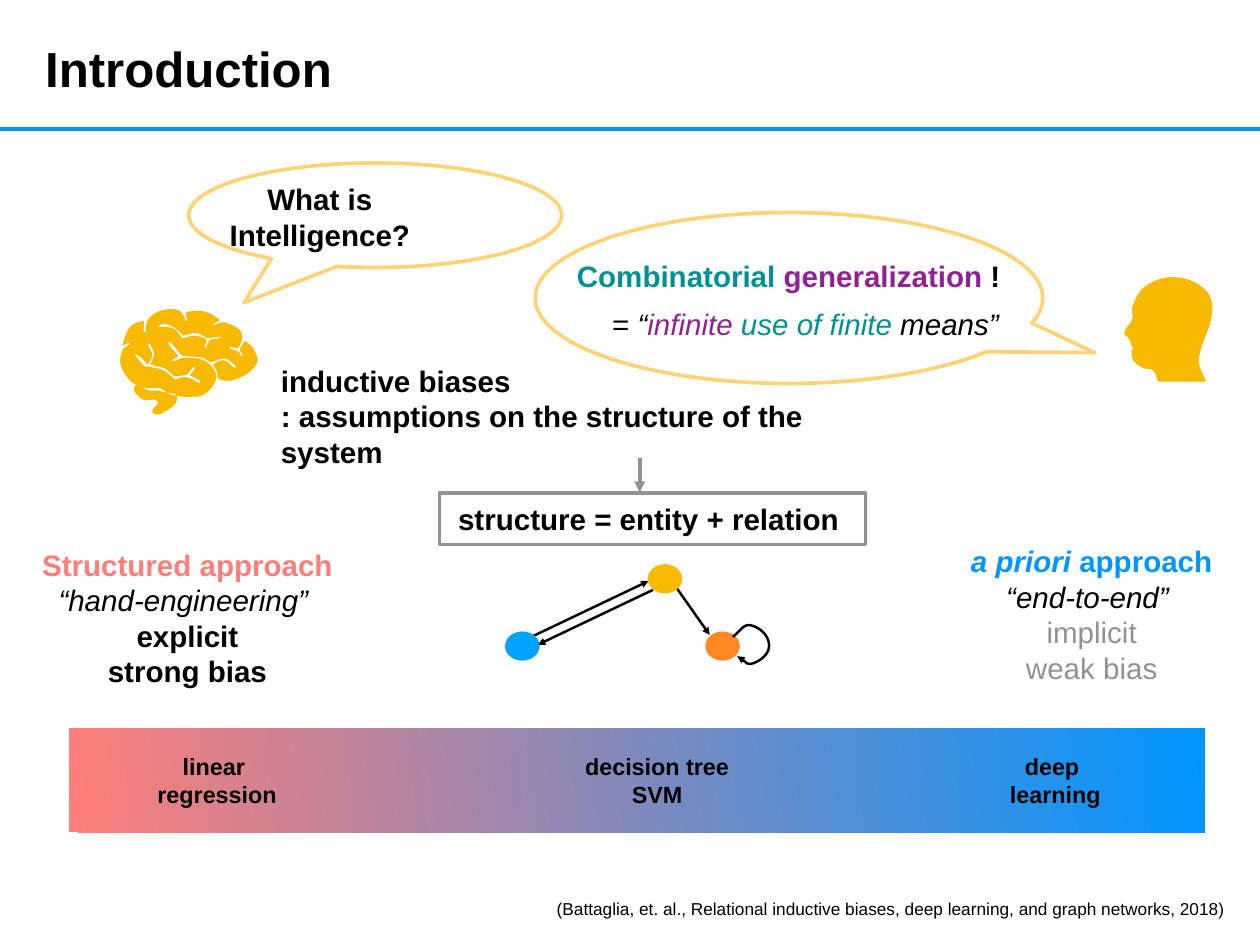
from collections import namedtuple
from dataclasses import dataclass
from math import dist

from lxml.etree import SubElement
from pptx import Presentation
from pptx.dml.color import RGBColor
from pptx.enum.shapes import MSO_CONNECTOR, MSO_SHAPE
from pptx.enum.text import MSO_ANCHOR, PP_ALIGN
from pptx.oxml.ns import qn
from pptx.util import Inches, Pt

Box = namedtuple("Box", "left top width height")
Part = namedtuple("Part", "text color style", defaults=("000000", ""))


@dataclass(frozen=True)
class Theme:
    """Colours, font and type sizes of the slide."""
    font: str = "Arial"
    title: int = 40
    body: int = 24
    label: int = 19
    citation: int = 14
    black: str = "000000"
    blue: str = "0096FF"
    coral: str = "FF7E79"
    teal: str = "009193"
    purple: str = "942193"
    gray: str = "929292"
    bubble: str = "FFD479"
    gold: str = "F7BA01"
    node_blue: str = "00A2FF"
    node_orange: str = "FF8824"


THEME = Theme()


def inside(box, left, top, width, height):
    """Return a box placed relative to another box."""
    return Box(box.left + left, box.top + top, width, height)


def emu(box):
    """Convert a box to lengths."""
    return [Inches(value) for value in box]


def write(shape, paragraphs, size=THEME.body, align=PP_ALIGN.CENTER):
    """Fill a shape with paragraphs made of formatted parts."""
    frame = shape.text_frame
    frame.word_wrap = True
    frame.vertical_anchor = MSO_ANCHOR.MIDDLE
    frame.margin_left = frame.margin_right = Inches(0.06)
    frame.margin_top = frame.margin_bottom = Inches(0.06)
    for index, parts in enumerate(paragraphs):
        paragraph = frame.add_paragraph() if index else frame.paragraphs[0]
        paragraph.alignment = align
        for part in parts:
            run = paragraph.add_run()
            run.text = part.text
            run.font.name, run.font.size = THEME.font, Pt(size)
            run.font.bold, run.font.italic = "b" in part.style, "i" in part.style
            run.font.color.rgb = RGBColor.from_string(part.color)


def add_text(slide, box, paragraphs, **options):
    """Add a wrapped text box."""
    write(slide.shapes.add_textbox(*emu(box)), paragraphs, **options)


def paint(shape, fill=None, line=None, width=3):
    """Set the fill and outline of a shape and remove its shadow."""
    shape.shadow.inherit = False
    if fill:
        shape.fill.solid()
        shape.fill.fore_color.rgb = RGBColor.from_string(fill)
    else:
        shape.fill.background()
    if line:
        shape.line.color.rgb = RGBColor.from_string(line)
        shape.line.width = Pt(width)
    else:
        shape.line.fill.background()


def add_shape(slide, kind, box, **colors):
    """Add a painted preset shape."""
    shape = slide.shapes.add_shape(kind, *emu(box))
    paint(shape, **colors)
    return shape


def add_arrowhead(shape):
    """Put a triangle at the end of a line."""
    SubElement(shape.line._get_or_add_ln(), qn("a:tailEnd"), type="triangle")


def add_line(slide, box, start, end, color=THEME.black, width=2, arrow=True):
    """Add a straight line between two points of a box."""
    points = [Inches(value) for x, y in (start, end) for value in (box.left + x, box.top + y)]
    line = slide.shapes.add_connector(MSO_CONNECTOR.STRAIGHT, *points)
    line.line.color.rgb = RGBColor.from_string(color)
    line.line.width = Pt(width)
    if arrow:
        add_arrowhead(line)
    SubElement(line._element.spPr, qn("a:effectLst"))


def bend(shape):
    """Turn the straight segments of a freeform into smooth curves."""
    contours = []
    for node in shape._element.spPr.iter(qn("a:moveTo"), qn("a:lnTo")):
        if node.tag == qn("a:moveTo"):
            contours.append([])
        contours[-1].append(node)
    for nodes in contours:
        points = [(int(node[0].get("x")), int(node[0].get("y"))) for node in nodes]
        closed = points[0] == points[-1]
        before, after = (points[-2], points[1]) if closed else (points[0], points[-1])
        ring = [before, *points, after]
        for node, a, b, c, d in zip(nodes[1:], ring, ring[1:], ring[2:], ring[3:]):
            reach = 0.36 * dist(b, c)
            first, second = reach / (dist(a, c) or 1), reach / (dist(b, d) or 1)
            controls = [[q + first * (r - p) for p, q, r in zip(a, b, c)],
                        [q - second * (r - p) for p, q, r in zip(b, c, d)], c]
            curve = SubElement(node.getparent(), qn("a:cubicBezTo"))
            for x, y in controls:
                SubElement(curve, qn("a:pt"), x=str(round(x)), y=str(round(y)))
            node.getparent().replace(node, curve)


def add_curve(slide, box, contours, **colors):
    """Add one smooth freeform from contours in hundredths of an inch."""
    builder = None
    for contour in contours:
        start, *rest = [(Inches(box.left + x / 100), Inches(box.top + y / 100)) for x, y in contour]
        if builder:
            builder.move_to(*start)
        else:
            builder = slide.shapes.build_freeform(*start, scale=1.0)
        builder.add_line_segments(rest, close=start == rest[-1])
    shape = builder.convert_to_shape()
    bend(shape)
    paint(shape, **colors)
    return shape


def add_header(slide, box):
    """Place the title and the rule under it."""
    title = slide.shapes.title
    title.left, title.top, title.width, title.height = emu(inside(box, 0.45, 0.38, 3.6, 0.78))
    write(title, [[Part("Introduction", THEME.black, "b")]], THEME.title, PP_ALIGN.LEFT)
    add_line(slide, box, (0, 1.46), (box.width, 1.46), THEME.blue, 3, arrow=False)


def add_bubble(slide, box, tail):
    """Add an oval speech bubble."""
    bubble = add_shape(slide, MSO_SHAPE.OVAL_CALLOUT, box, line=THEME.bubble)
    bubble.adjustments[0], bubble.adjustments[1] = tail


def add_question(slide, box):
    """Place the question bubble."""
    add_bubble(slide, box, (-0.352, 0.837))
    add_text(slide, inside(box, 0.38, 0.15, 2.2, 0.91),
             [[Part("What is Intelligence?", THEME.black, "b")]])


def add_answer(slide, box):
    """Place the answer bubble."""
    add_bubble(slide, box, (0.602, 0.32))
    add_text(slide, inside(box, 0.36, 0.46, 5, 0.5), [[
        Part("Combinatorial ", THEME.teal, "b"), Part("generalization", THEME.purple, "b"),
        Part(" !", THEME.black, "b")]])
    add_text(slide, inside(box, 0.55, 1.01, 5, 0.5), [[
        Part("= "), Part("“", THEME.black, "i"), Part("infinite", THEME.purple, "i"),
        Part(" use of finite", THEME.teal, "i"), Part(" means”", THEME.black, "i")]])


def add_brain(slide, box):
    """Draw the brain icon with its folds and stem."""
    outline = [
        (57, 0), (41, 4), (31, 14), (30, 25), (29, 26), (27, 25), (28, 15), (27, 13), (12, 20), (3, 41),
        (4, 41), (10, 38), (11, 38), (11, 40), (4, 45), (1, 62), (11, 80), (18, 85), (30, 89), (45, 89),
        (47, 90), (60, 97), (79, 99), (96, 96), (109, 79), (105, 66), (93, 57), (78, 55), (71, 55),
        (61, 59), (59, 58), (60, 57), (66, 54), (66, 53), (55, 39), (56, 37), (58, 38), (70, 52),
        (73, 53), (94, 55), (102, 60), (104, 60), (119, 56), (131, 64), (131, 66), (129, 66), (118, 58),
        (106, 62), (106, 64), (110, 70), (112, 79), (132, 79), (154, 63), (153, 48), (142, 36),
        (140, 38), (136, 45), (136, 47), (139, 52), (138, 54), (137, 53), (134, 48), (125, 45),
        (124, 44), (125, 43), (133, 44), (134, 44), (138, 35), (136, 24), (119, 15), (112, 16),
        (106, 18), (105, 17), (113, 13), (113, 12), (97, 3), (76, 3), (75, 6), (76, 13), (75, 14),
        (74, 12), (69, 3), (57, 0)]
    upper_fold = [
        (52, 17), (62, 21), (71, 29), (72, 30), (86, 27), (100, 33), (101, 33), (113, 31), (114, 32),
        (112, 33), (102, 35), (98, 43), (97, 44), (96, 43), (98, 36), (98, 34), (85, 30), (71, 33),
        (70, 32), (61, 22), (45, 20), (44, 20), (45, 18), (52, 17)]
    lower_fold = [
        (33, 39), (34, 39), (39, 51), (35, 62), (36, 63), (51, 67), (62, 76), (63, 76), (76, 74),
        (77, 73), (84, 65), (85, 67), (80, 74), (80, 75), (91, 81), (91, 83), (89, 83), (76, 77),
        (62, 79), (61, 78), (49, 69), (32, 65), (29, 65), (18, 53), (17, 52), (18, 51), (26, 56),
        (30, 61), (32, 62), (37, 52), (32, 41), (33, 39)]
    stem = [(17, 87), (26, 102), (43, 104), (37, 116), (47, 118), (65, 100), (47, 93), (43, 92),
            (33, 92), (17, 87)]
    add_curve(slide, box, [outline, upper_fold, lower_fold, stem], fill=THEME.gold)


def add_head(slide, box):
    """Draw the head icon in profile."""
    profile = [(92, 118), (84, 93), (99, 40), (91, 14), (57, 0), (24, 10), (9, 33), (9, 47), (0, 61),
               (0, 65), (4, 68), (7, 73), (7, 75), (8, 78), (10, 79), (8, 84), (10, 94), (22, 103),
               (32, 105), (38, 118)]
    add_curve(slide, box, [profile], fill=THEME.gold)


def add_structure(slide, box):
    """Place the inductive bias definition and the structure equation."""
    add_text(slide, inside(box, 0, 0.01, 6.5, 0.91), [
        [Part("inductive biases", THEME.black, "b")],
        [Part(": assumptions on the structure of the system", THEME.black, "b")]],
        align=PP_ALIGN.LEFT)
    equation = add_shape(slide, MSO_SHAPE.RECTANGLE, inside(box, 1.85, 1.34, 4.81, 0.58), line=THEME.gray)
    write(equation, [[Part("structure = entity + relation ", THEME.black, "b")]])
    add_line(slide, box, (4.11, 0.94), (4.11, 1.33), THEME.gray, 3)


def add_graph(slide, box):
    """Draw the graph of three nodes with its arrows and self-loop."""
    for start, end in [((1.93, 0.26), (2.31, 0.8)), ((0.32, 0.81), (1.62, 0.19)),
                       ((1.67, 0.29), (0.37, 0.91))]:
        add_line(slide, box, start, end)
    for left, top, color in [(0, 0.76, THEME.node_blue), (1.61, 0, THEME.gold),
                             (2.26, 0.76, THEME.node_orange)]:
        add_shape(slide, MSO_SHAPE.OVAL, inside(box, left, top, 0.39, 0.33), fill=color)
    loop = [(257, 82), (277, 69), (298, 91), (280, 112), (262, 104)]
    add_arrowhead(add_curve(slide, box, [loop], line=THEME.black, width=2))


def add_approach(slide, box, heading, motto, traits, color, style):
    """Place one approach with its motto and traits."""
    add_text(slide, box, [heading, [Part(motto, THEME.black, "i")],
                          *[[Part(trait, color, style)] for trait in traits]])


def add_spectrum(slide, box):
    """Draw the gradient band with the method labels."""
    band = add_shape(slide, MSO_SHAPE.RECTANGLE, box)
    band.fill.gradient()
    band.fill.gradient_angle = 5
    for stop, position, color in zip(band.fill.gradient_stops, (0, 1), (THEME.coral, THEME.blue)):
        stop.position = position
        stop.color.rgb = RGBColor.from_string(color)
    for left, width, lines in [(0.24, 2.86, ("linear ", "regression")),
                               (4.91, 3.45, ("decision tree", "SVM")),
                               (10, 2.26, ("deep ", "learning"))]:
        add_text(slide, inside(box, left, 0.2, width, 0.77),
                 [[Part(line, THEME.black, "b")] for line in lines], size=THEME.label)


def main():
    """Build the slide and save it."""
    presentation = Presentation()
    presentation.slide_width, presentation.slide_height = Inches(14.22), Inches(10.67)
    slide = presentation.slides.add_slide(presentation.slide_layouts[5])
    add_header(slide, Box(0, 0, 14.22, 1.5))
    add_question(slide, Box(2.13, 1.84, 4.21, 1.18))
    add_brain(slide, Box(1.35, 3.49, 1.55, 1.19))
    add_answer(slide, Box(6.04, 2.4, 5.73, 1.93))
    add_head(slide, Box(12.69, 3.13, 0.99, 1.19))
    add_structure(slide, Box(3.11, 4.23, 7.22, 1.92))
    add_graph(slide, Box(5.7, 6.37, 2.99, 1.12))
    add_approach(slide, Box(0.31, 6.12, 3.61, 1.71), [Part("Structured approach", THEME.coral, "b")],
                 "“hand-engineering” ", ("explicit", "strong bias"), THEME.black, "b")
    add_approach(slide, Box(10.8, 6.08, 3.04, 1.71),
                 [Part("a priori ", THEME.blue, "bi"), Part("approach", THEME.blue, "b")],
                 "“end-to-end” ", ("implicit", "weak bias"), THEME.gray, "")
    add_spectrum(slide, Box(0.78, 8.22, 12.81, 1.18))
    add_text(slide, Box(6.12, 10.09, 7.87, 0.33), [[Part(
        "(Battaglia, et. al., Relational inductive biases, deep learning, and graph networks, 2018)")]],
        size=THEME.citation)
    presentation.save("out.pptx")


if __name__ == "__main__":
    main()
